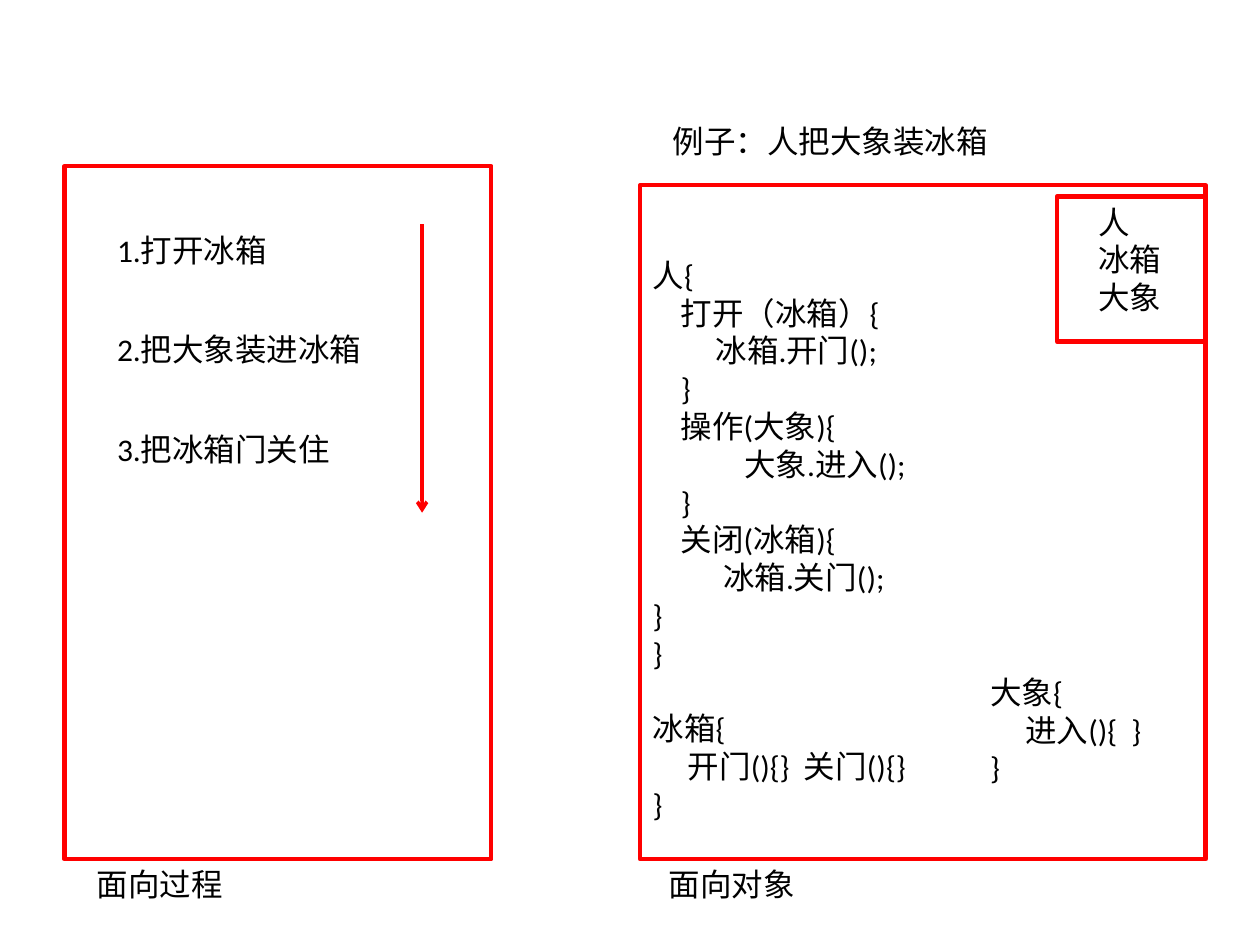
from dataclasses import dataclass

from lxml.etree import SubElement
from pptx import Presentation
from pptx.dml.color import RGBColor
from pptx.enum.shapes import MSO_CONNECTOR as Connector, MSO_SHAPE as Shape
from pptx.oxml.ns import qn
from pptx.util import Pt


@dataclass(frozen=True)
class Theme:
    font: str = "Calibri"
    size: float = 18
    text: RGBColor = RGBColor(0, 0, 0)
    accent: RGBColor = RGBColor(255, 0, 0)
    frame_width: float = 2.5
    arrow_width: float = 2


THEME = Theme()
LINE_HEIGHT = 21.6
TEXT_HEIGHT = 28.8

STEPS = ["1.打开冰箱", "2.把大象装进冰箱", "3.把冰箱门关住"]
OBJECTS = ["人", "冰箱", "大象"]
PERSON_CODE = [
    "人{",
    "    打开（冰箱）{",
    "\t冰箱.开门();",
    "    }",
    "    操作(大象){",
    "             大象.进入();",
    "    }",
    "    关闭(冰箱){",
    "          冰箱.关门();",
    "}",
    "}",
]
FRIDGE_CODE = ["冰箱{", "     开门(){}  关门(){}", "}"]
ELEPHANT_CODE = ["大象{", "     进入(){  }", "}"]

# left, top, width, height in points
PROCEDURE_FRAME = (36.8, 95, 244, 396)
OBJECT_FRAME = (365.8, 105.8, 323.2, 385.2)
OBJECT_LIST_FRAME = (604, 112.3, 85, 82.8)
CAPTION_TOP = 491
STEP_LEFT, STEP_TOP, STEP_PITCH = 59.8, 128.2, 56.9
ARROW_X, ARROW_TOP, ARROW_BOTTOM = 241.2, 128.2, 293


def add_frame(slide, bounds):
    frame = slide.shapes.add_shape(Shape.RECTANGLE, *map(Pt, bounds))
    frame.shadow.inherit = False
    frame.fill.background()
    frame.line.color.rgb = THEME.accent
    frame.line.width = Pt(THEME.frame_width)


def add_text(slide, left, top, width, *blocks):
    """Write blocks of lines, one line of space between blocks."""
    line_count = sum(map(len, blocks)) + len(blocks) - 1
    height = TEXT_HEIGHT + (line_count - 1) * LINE_HEIGHT
    box = slide.shapes.add_textbox(Pt(left), Pt(top), Pt(width), Pt(height))
    frame = box.text_frame
    frame.word_wrap = True
    paragraph = None
    for block in blocks:
        for index, line in enumerate(block):
            new_block = paragraph is not None and index == 0
            paragraph = frame.add_paragraph() if paragraph is not None else frame.paragraphs[0]
            if new_block:
                paragraph.space_before = Pt(LINE_HEIGHT)
            run = paragraph.add_run()
            run.text = line
            run.font.name = THEME.font
            run.font.size = Pt(THEME.size)
            run.font.color.rgb = THEME.text


def add_down_arrow(slide, x, top, bottom):
    arrow = slide.shapes.add_connector(Connector.STRAIGHT, Pt(x), Pt(top), Pt(x), Pt(bottom))
    arrow.line.color.rgb = THEME.accent
    arrow.line.width = Pt(THEME.arrow_width)
    SubElement(arrow.line._get_or_add_ln(), qn("a:tailEnd"), type="arrow")
    SubElement(arrow._element.spPr, qn("a:effectLst"))


def main():
    presentation = Presentation()
    presentation.slide_width, presentation.slide_height = Pt(720), Pt(540)
    slide = presentation.slides.add_slide(presentation.slide_layouts[6])

    add_text(slide, 377.3, 66.2, 294.5, ["例子：人把大象装冰箱"])

    add_frame(slide, PROCEDURE_FRAME)
    add_text(slide, 48.2, CAPTION_TOP, 232.6, ["面向过程"])
    for index, step in enumerate(STEPS):
        add_text(slide, STEP_LEFT, STEP_TOP + index * STEP_PITCH, 180, [step])
    add_down_arrow(slide, ARROW_X, ARROW_TOP, ARROW_BOTTOM)

    add_frame(slide, OBJECT_FRAME)
    add_text(slide, 375, CAPTION_TOP, 221, ["面向对象"])
    add_frame(slide, OBJECT_LIST_FRAME)
    add_text(slide, 620.6, 112.3, 67.7, OBJECTS)
    add_text(slide, 365.8, 142.6, 295.2, PERSON_CODE, FRIDGE_CODE)
    add_text(slide, 558.7, 380.9, 161.3, ELEPHANT_CODE)

    presentation.save("out.pptx")


if __name__ == "__main__":
    main()
